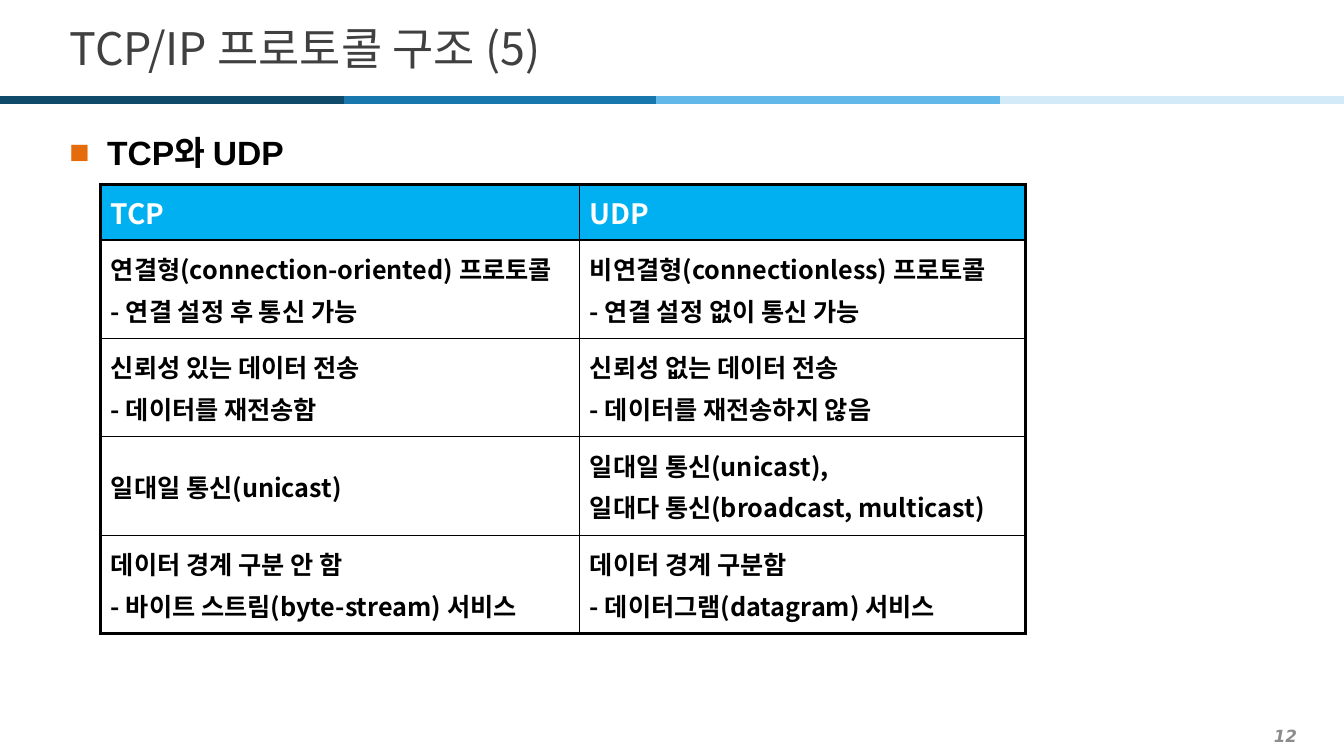
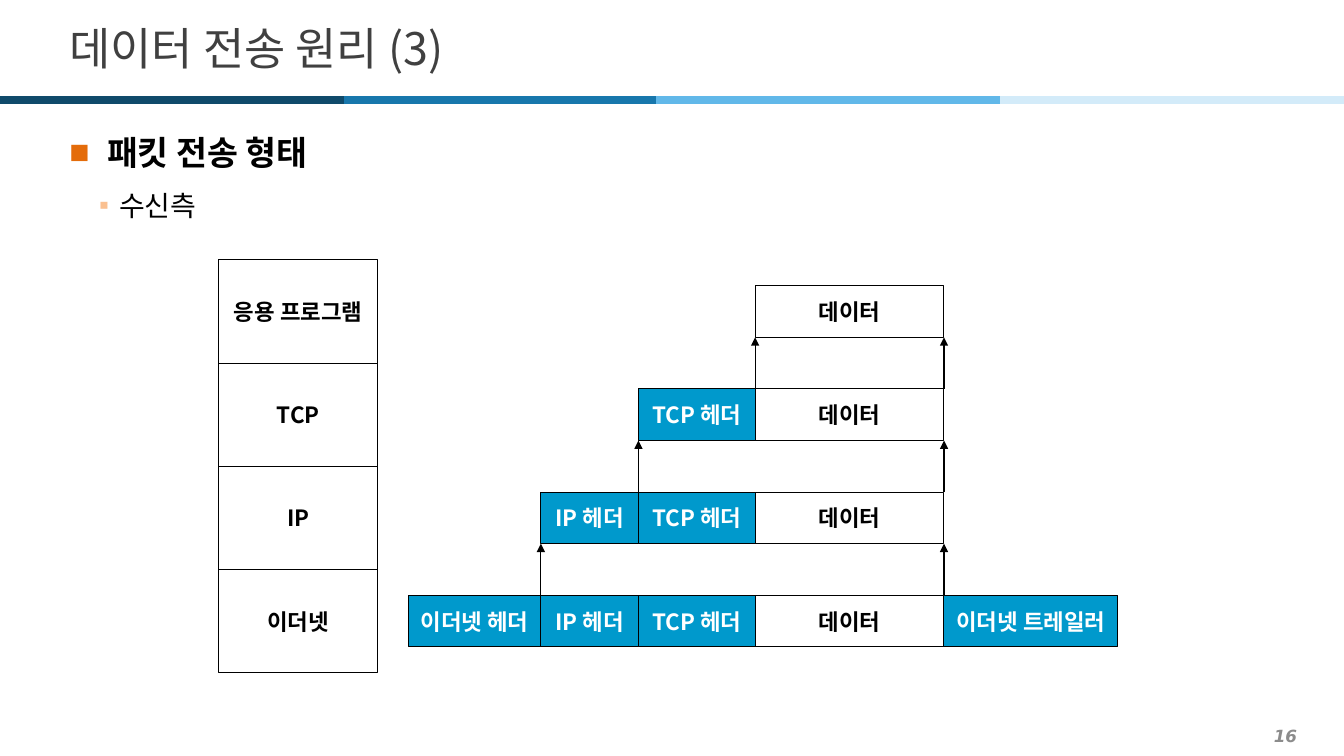
from lxml.etree import SubElement
from pptx import Presentation
from pptx.dml.color import RGBColor
from pptx.enum.shapes import MSO_CONNECTOR, MSO_SHAPE
from pptx.enum.text import MSO_ANCHOR, PP_ALIGN
from pptx.oxml.ns import qn
from pptx.util import Cm, Pt

HUES = {
    "black": "000000", "white": "FFFFFF", "title": "404040", "page": "8C8C8C",
    "navy": "0F4A6B", "blue": "1877AC", "sky": "61B8E9", "pale": "D3EBF9",
    "orange": "E46C0A", "peach": "FAC090", "head": "00B0F0", "box": "0099CC",
}
SANS = "Noto Sans CJK KR"
BANDS = ["navy", "blue", "sky", "pale"]
STOPS = [0, 8.67, 16.53, 25.2, 33.87]
WIDE, HIGH = 33.87, 19.05


def rgb(hue):
    return RGBColor.from_string(HUES[hue])


class Deck:
    def __init__(self):
        self.prs = Presentation()
        self.prs.slide_width, self.prs.slide_height = Cm(WIDE), Cm(HIGH)
        self.slide = None

    def start(self, title, page):
        """Add a slide with the shared title, bands and page number."""
        self.slide = self.prs.slides.add_slide(self.prs.slide_layouts[6])
        para = self.frame(0.5, 18.14, 32.44, 0.79, MSO_ANCHOR.MIDDLE).paragraphs[0]
        para.alignment = PP_ALIGN.RIGHT
        self.label(para, str(page), 12, "page", bold=True, face="DejaVu Sans")
        para.font.italic = True
        for hue, left, right in zip(BANDS, STOPS, STOPS[1:]):
            self.line(left, 2.52, right, 2.52, hue, 6)
        para = self.frame(1.5, 0.33, 31.01, 1.73, MSO_ANCHOR.MIDDLE).paragraphs[0]
        self.label(para, title, 32, "title")

    def frame(self, left, top, width, height, anchor=MSO_ANCHOR.TOP):
        box = self.slide.shapes.add_textbox(Cm(left), Cm(top), Cm(width), Cm(height))
        box.text_frame.word_wrap = True
        box.text_frame.vertical_anchor = anchor
        return box.text_frame

    def label(self, para, text, size, hue, bold=False, face=SANS):
        para.add_run().text = text
        font = para.font
        font.size, font.bold, font.name = Pt(size), bold, face
        font.color.rgb = rgb(hue)
        SubElement(para._p.pPr.find(qn("a:defRPr")), qn("a:ea"), typeface=SANS)

    def bullet(self, para, mark, hue, left, hang):
        props = para._p.get_or_add_pPr()
        props.set("marL", str(Cm(left)))
        props.set("indent", str(-Cm(hang)))
        tint = SubElement(props, qn("a:buClr"))
        SubElement(tint, qn("a:srgbClr"), val=HUES[hue])
        face = SubElement(props, qn("a:buFont"), typeface="Arial")
        sign = SubElement(props, qn("a:buChar"), char=mark)
        for part in (tint, face, sign):
            props.find(qn("a:defRPr")).addprevious(part)

    def body(self, head, point=None):
        """Add the main bullet and, if given, one below it."""
        frame = self.frame(1.5, 3, 31.01, 15.31)
        para = frame.paragraphs[0]
        self.label(para, head, 24, "black", bold=True, face="Arial")
        para.line_spacing, para.space_after = 1.2, Pt(2)
        self.bullet(para, "■", "orange", 0.95, 0.95)
        if point:
            para = frame.add_paragraph()
            para.level = 1
            self.label(para, point, 20, "black")
            para.line_spacing = 1.3
            para.space_before = para.space_after = Pt(2)
            self.bullet(para, "▪", "peach", 1.25, 0.5)

    def line(self, x1, y1, x2, y2, hue="black", width=0.75, arrow=False):
        link = self.slide.shapes.add_connector(
            MSO_CONNECTOR.STRAIGHT, Cm(x1), Cm(y1), Cm(x2), Cm(y2))
        link.line.color.rgb = rgb(hue)
        link.line.width = Pt(width)
        props = link._element.spPr
        if arrow:
            SubElement(props.find(qn("a:ln")), qn("a:tailEnd"), type="triangle")
        SubElement(props, qn("a:effectLst"))

    def box(self, left, top, width, height, text, fill=None):
        shape = self.slide.shapes.add_shape(
            MSO_SHAPE.RECTANGLE, Cm(left), Cm(top), Cm(width), Cm(height))
        shape.shadow.inherit = False
        if fill:
            shape.fill.solid()
            shape.fill.fore_color.rgb = rgb(fill)
        else:
            shape.fill.background()
        shape.line.color.rgb = rgb("black")
        shape.line.width = Pt(0.75)
        frame = shape.text_frame
        frame.word_wrap = False
        frame.vertical_anchor = MSO_ANCHOR.MIDDLE
        para = frame.paragraphs[0]
        para.alignment = PP_ALIGN.CENTER
        self.label(para, text, 16, "white" if fill else "black", bold=True)

    def edge(self, cell, side, width):
        line = SubElement(cell._tc.get_or_add_tcPr(), qn("a:ln" + side), w=str(Pt(width)))
        fill = SubElement(line, qn("a:solidFill"))
        SubElement(fill, qn("a:srgbClr"), val=HUES["black"])

    def table(self, left, top, cols, tall, rows):
        """Draw a grid with a heavy frame and a coloured first row."""
        grid = self.slide.shapes.add_table(
            len(rows), len(cols), Cm(left), Cm(top), Cm(sum(cols)), Cm(sum(tall))).table
        grid.first_row = grid.horz_banding = False
        for col, width in zip(grid.columns, cols):
            col.width = Cm(width)
        for r, row in enumerate(rows):
            grid.rows[r].height = Cm(tall[r])
            for c, text in enumerate(row):
                cell = grid.cell(r, c)
                cell.vertical_anchor = MSO_ANCHOR.MIDDLE
                outer = {"L": c == 0, "R": c == len(cols) - 1,
                         "T": r == 0, "B": r == len(rows) - 1}
                for side, heavy in outer.items():
                    self.edge(cell, side, 2.25 if heavy else 1)
                if r == 0:
                    cell.fill.solid()
                    cell.fill.fore_color.rgb = rgb("head")
                else:
                    cell.fill.background()
                size, hue = (18, "black") if r else (20, "white")
                for n, part in enumerate(text.split("\n")):
                    frame = cell.text_frame
                    para = frame.add_paragraph() if n else frame.paragraphs[0]
                    self.label(para, part, size, hue, bold=True)
                    para.space_before = Pt(size * 0.2)


def compare(deck):
    deck.start("TCP/IP 프로토콜 구조 (5)", 12)
    deck.body("TCP와 UDP")
    deck.table(2.54, 4.65, [12.07, 11.23], [1.4] + [2.48] * 4, [
        ("TCP", "UDP"),
        ("연결형(connection-oriented) 프로토콜\n- 연결 설정 후 통신 가능",
         "비연결형(connectionless) 프로토콜\n- 연결 설정 없이 통신 가능"),
        ("신뢰성 있는 데이터 전송\n- 데이터를 재전송함",
         "신뢰성 없는 데이터 전송\n- 데이터를 재전송하지 않음"),
        ("일대일 통신(unicast)",
         "일대일 통신(unicast),\n일대다 통신(broadcast, multicast)"),
        ("데이터 경계 구분 안 함\n- 바이트 스트림(byte-stream) 서비스",
         "데이터 경계 구분함\n- 데이터그램(datagram) 서비스"),
    ])


def packets(deck):
    deck.start("데이터 전송 원리 (3)", 16)
    deck.body("패킷 전송 형태", "수신측")
    layers = ["응용 프로그램", "TCP", "IP", "이더넷"]
    parts = ["이더넷 헤더", "IP 헤더", "TCP 헤더", "데이터", "이더넷 트레일러"]
    edges = [10.29, 13.63, 16.09, 19.03, 23.79, 28.17]
    data = parts.index("데이터")
    top, step, high = 6.55, 2.6, 1.3
    for row, layer in enumerate(layers):
        deck.box(5.51, top + row * step, 4.01, step, layer)
        # Each lower layer has one more header; the last also has a trailer
        first = data - row
        last = data if first else data + 1
        y = top + row * step + (step - high) / 2
        for n in range(first, last + 1):
            deck.box(edges[n], y, edges[n + 1] - edges[n], high, parts[n],
                     None if n == data else "box")
        # Arrows rise from the layer below to both ends of this packet
        if first:
            for x in (edges[first], edges[data + 1]):
                deck.line(x, y + step, x, y + high, arrow=True)


def main():
    deck = Deck()
    compare(deck)
    packets(deck)
    deck.prs.save("out.pptx")


if __name__ == "__main__":
    main()
